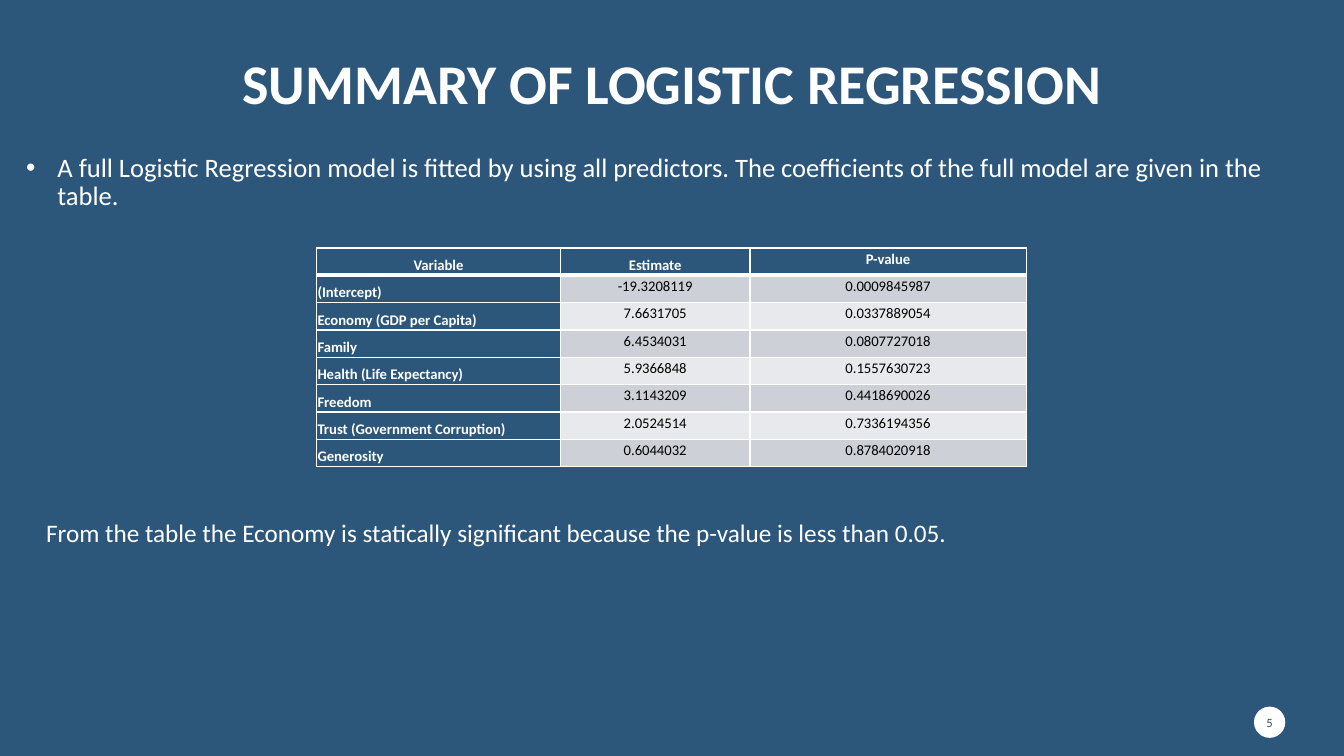
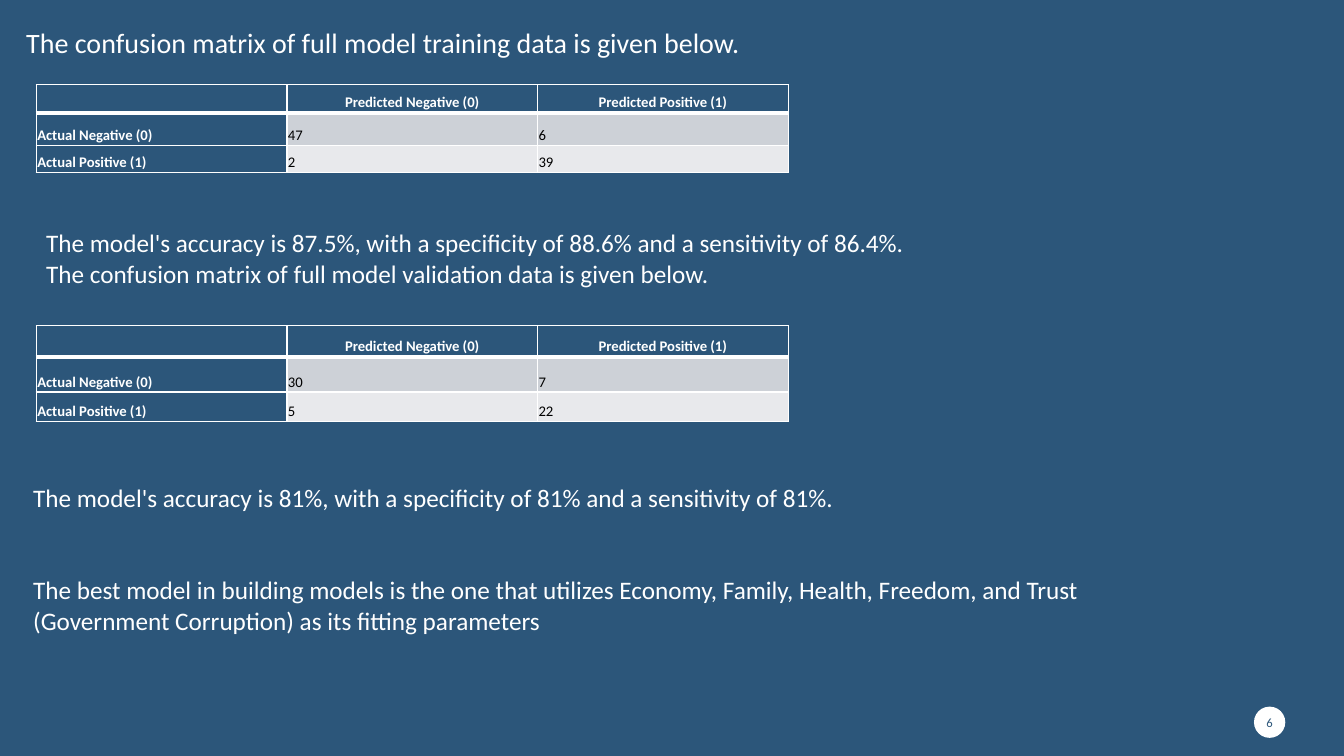
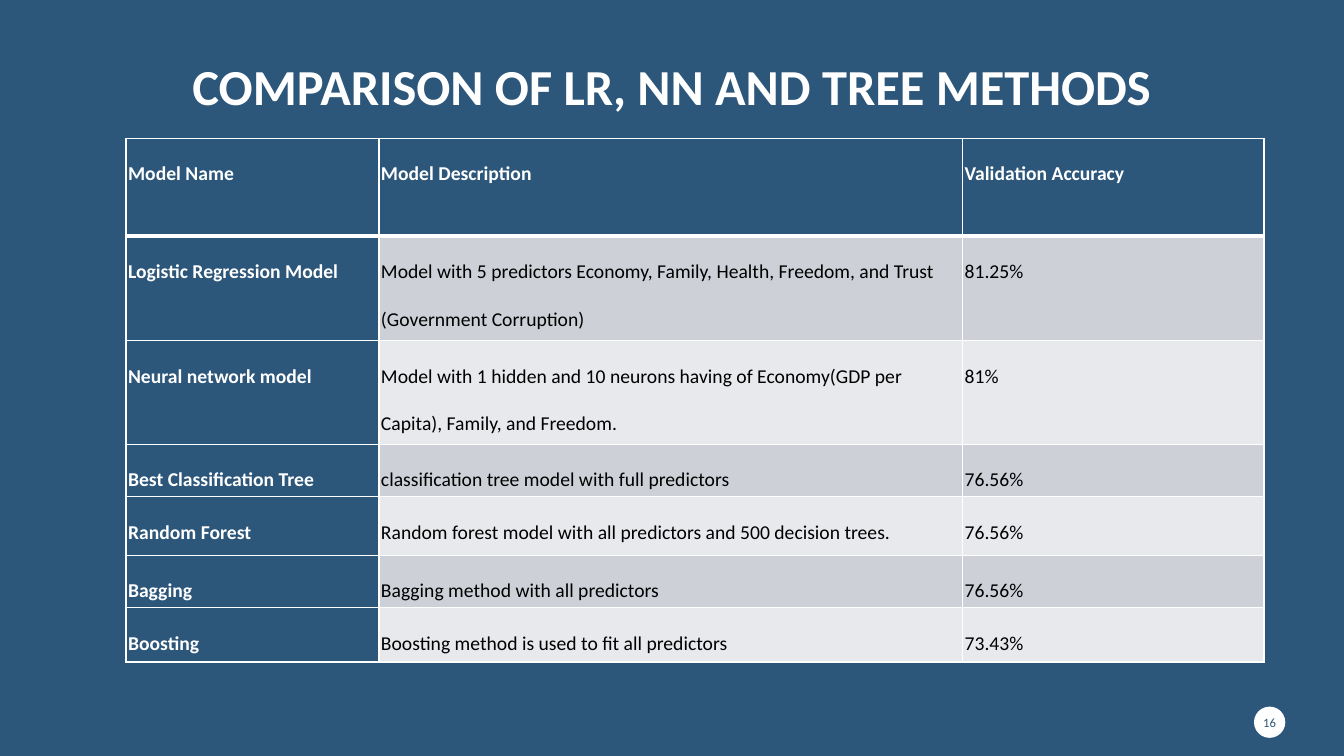
"""Build three slides that report regression results and compare models."""
import dataclasses
import typing

import lxml.etree
import pptx
import pptx.dml.color
import pptx.enum.shapes
import pptx.enum.text
import pptx.oxml.ns
import pptx.presentation
import pptx.slide
import pptx.table
import pptx.text.text
import pptx.util

ALIGN = pptx.enum.text.PP_ALIGN
ANCHOR = pptx.enum.text.MSO_ANCHOR
FONT = "Calibri"
COLORS = {
    "blue": "2C567A",
    "white": "FFFFFF",
    "black": "000000",
    "band_dark": "CDD1D7",
    "band_light": "E8E9EC",
}
WIDTH = pptx.util.Inches(13.33)
HEIGHT = pptx.util.Inches(7.5)
TITLE_AND_CONTENT, TITLE_ONLY = 1, 5


@dataclasses.dataclass(frozen=True)
class Area:
    """A place in percent of the slide's width and height."""

    left: float
    top: float
    width: float
    height: float

    def lengths(self) -> tuple[int, int, int, int]:
        return across(self.left), down(self.top), across(self.width), down(self.height)


@dataclasses.dataclass(frozen=True)
class Style:
    """The look of one paragraph."""

    size: float
    color: str = "white"
    bold: bool = False
    align: ALIGN = ALIGN.LEFT
    line_spacing: float = 1.0
    before: float = 0
    after: float = 0


@dataclasses.dataclass(frozen=True)
class Grid:
    """A table with its sizes in percent of the slide."""

    left: float
    top: float
    columns: list[float]
    rows: list[float]
    cells: list[list[str]]
    size: float = 10.5
    line_spacing: float = 1.07
    margins: tuple[float, float] = (0.01, 0.01)
    header_align: ALIGN = ALIGN.CENTER
    value_align: ALIGN = ALIGN.LEFT
    label_anchor: ANCHOR = ANCHOR.BOTTOM
    value_anchor: ANCHOR = ANCHOR.BOTTOM
    last_header_anchor: ANCHOR = ANCHOR.BOTTOM


TITLE_AREA = Area(9.38, 6.53, 81.25, 9.6)
BADGE_AREA = Area(93.3, 93.47, 2.33, 4.13)

COEFFICIENTS = Grid(
    23.55, 32.8, [18.15, 14.1, 20.55], [3.62] * 8,
    [
        ["Variable", "Estimate", "P-value"],
        ["(Intercept)", "-19.3208119", "0.0009845987"],
        ["Economy (GDP per Capita)", "7.6631705", "0.0337889054"],
        ["Family", "6.4534031", "0.0807727018"],
        ["Health (Life Expectancy)", "5.9366848", "0.1557630723"],
        ["Freedom", "3.1143209", "0.4418690026"],
        ["Trust (Government Corruption)", "2.0524514", "0.7336194356"],
        ["Generosity", "0.6044032", "0.8784020918"],
    ],
    value_align=ALIGN.CENTER, value_anchor=ANCHOR.TOP, last_header_anchor=ANCHOR.TOP,
)
MODELS = Grid(
    9.38, 18.27, [18.82, 43.43, 22.42], [12.93, 13.87, 13.73, 6.93, 7.73, 6.93, 7.2],
    [
        ["Model Name", "Model Description", "Validation Accuracy"],
        ["Logistic Regression Model",
         "Model with 5 predictors Economy, Family, Health, Freedom, and Trust (Government Corruption)",
         "81.25%"],
        ["Neural network model",
         "Model with 1 hidden and 10 neurons having of Economy(GDP per Capita), Family, and Freedom.",
         "81%"],
        ["Best Classification Tree", "classification tree model with full predictors", "76.56%"],
        ["Random Forest", "Random forest model with all predictors and 500 decision trees.", "76.56%"],
        ["Bagging", "Bagging method with all predictors", "76.56%"],
        ["Boosting", "Boosting method is used to fit all predictors", "73.43%"],
    ],
    size=14, line_spacing=2.0, margins=(0.02, 0), header_align=ALIGN.LEFT,
    label_anchor=ANCHOR.TOP, value_anchor=ANCHOR.TOP, last_header_anchor=ANCHOR.TOP,
)


def across(percent: float) -> int:
    return round(WIDTH * percent / 100)


def down(percent: float) -> int:
    return round(HEIGHT * percent / 100)


def rgb(name: str) -> pptx.dml.color.RGBColor:
    return pptx.dml.color.RGBColor.from_string(COLORS[name])


def add_element(parent: typing.Any, tag: str, **attributes: str) -> typing.Any:
    return lxml.etree.SubElement(parent, pptx.oxml.ns.qn(tag), **attributes)


def write(para: typing.Any, text: str, style: Style) -> None:
    para.text = text
    para.alignment = style.align
    para.line_spacing = style.line_spacing
    para.space_before = pptx.util.Pt(style.before)
    para.space_after = pptx.util.Pt(style.after)
    para.font.name = FONT
    para.font.size = pptx.util.Pt(style.size)
    para.font.bold = style.bold
    para.font.color.rgb = rgb(style.color)
    if not text:
        add_element(para._p, "a:endParaRPr", sz=str(round(style.size * 100)))


def add_page(deck: pptx.presentation.Presentation, layout: int, number: int) -> pptx.slide.Slide:
    page = deck.slides.add_slide(deck.slide_layouts[layout])
    badge = page.shapes.add_shape(pptx.enum.shapes.MSO_SHAPE.OVAL, *BADGE_AREA.lengths())
    badge.shadow.inherit = False
    badge.fill.solid()
    badge.fill.fore_color.rgb = rgb("white")
    badge.line.fill.background()
    frame = badge.text_frame
    frame.margin_left = frame.margin_right = frame.margin_top = frame.margin_bottom = 0
    frame.vertical_anchor = ANCHOR.MIDDLE
    frame.word_wrap = False
    write(frame.paragraphs[0], str(number), Style(9, "blue", align=ALIGN.CENTER))
    return page


def place(box: typing.Any, area: Area, anchor: ANCHOR) -> typing.Any:
    box.left, box.top, box.width, box.height = area.lengths()
    frame = box.text_frame
    frame.auto_size = pptx.enum.text.MSO_AUTO_SIZE.NONE
    frame.word_wrap = True
    frame.vertical_anchor = anchor
    return frame.paragraphs[0]


def set_title(page: pptx.slide.Slide, text: str, size: float) -> None:
    para = place(page.shapes.title, TITLE_AREA, ANCHOR.BOTTOM)
    write(para, text, Style(size, bold=True, align=ALIGN.CENTER, line_spacing=0.9))


def set_body(page: pptx.slide.Slide, text: str, top: float, size: float, bullet: bool) -> None:
    para = place(page.placeholders[1], Area(1.2, top, 97.6, 9.6), ANCHOR.TOP)
    indent = pptx.util.Inches(0.31) if bullet else 0
    properties = para._p.get_or_add_pPr()
    properties.set("marL", str(indent))
    properties.set("indent", str(-indent))
    if bullet:
        add_element(properties, "a:buFont", typeface="Arial")
        add_element(properties, "a:buChar", char="•")
    else:
        add_element(properties, "a:buNone")
    write(para, text, Style(size, line_spacing=0.9, before=10))


def add_note(page: pptx.slide.Slide, area: Area, lines: list[str], gap: float = 0) -> None:
    box = page.shapes.add_textbox(*area.lengths())
    frame = box.text_frame
    frame.word_wrap = True
    for index, line in enumerate(lines):
        para = frame.add_paragraph() if index else frame.paragraphs[0]
        write(para, line, Style(18, before=gap if index else 0))


def set_borders(cell: pptx.table._Cell, row: int) -> None:
    heavy = {0: "a:lnB", 1: "a:lnT"}.get(row)
    properties = cell._tc.get_or_add_tcPr()
    for side in ("a:lnL", "a:lnR", "a:lnT", "a:lnB"):
        points = 3 if side == heavy else 1
        line = add_element(properties, side, w=str(pptx.util.Pt(points)))
        add_element(add_element(line, "a:solidFill"), "a:srgbClr", val=COLORS["white"])


def fill_cell(cell: pptx.table._Cell, grid: Grid, row: int, column: int) -> None:
    header, label = row == 0, column == 0
    strong = header or label
    set_borders(cell, row)
    cell.fill.solid()
    band = "band_dark" if row % 2 else "band_light"
    cell.fill.fore_color.rgb = rgb("blue" if strong else band)
    cell.margin_left = cell.margin_right = pptx.util.Inches(grid.margins[0])
    cell.margin_top = cell.margin_bottom = pptx.util.Inches(grid.margins[1])
    cell.vertical_anchor = grid.label_anchor if strong else grid.value_anchor
    if header and column == len(grid.columns) - 1:
        cell.vertical_anchor = grid.last_header_anchor
    align = grid.header_align if header else ALIGN.LEFT if label else grid.value_align
    style = Style(grid.size, "white" if strong else "black", strong, align, grid.line_spacing, after=8)
    write(cell.text_frame.paragraphs[0], grid.cells[row][column], style)


def add_grid(page: pptx.slide.Slide, grid: Grid) -> None:
    area = Area(grid.left, grid.top, sum(grid.columns), sum(grid.rows))
    table = page.shapes.add_table(len(grid.rows), len(grid.columns), *area.lengths()).table
    table.first_row = table.horz_banding = False
    for column, width in enumerate(grid.columns):
        table.columns[column].width = across(width)
    for row, height in enumerate(grid.rows):
        table.rows[row].height = down(height)
        for column in range(len(grid.columns)):
            fill_cell(table.cell(row, column), grid, row, column)


def confusion_matrix(top: float, rows: list[float], negative: list[str], positive: list[str]) -> Grid:
    cells = [
        ["", "Predicted Negative (0)", "Predicted Positive (1)"],
        ["Actual Negative (0)", *negative],
        ["Actual Positive (1)", *positive],
    ]
    return Grid(2.7, top, [18.65] * 3, rows, cells)


def add_regression_page(deck: pptx.presentation.Presentation) -> None:
    page = add_page(deck, TITLE_AND_CONTENT, 5)
    set_title(page, "SUMMARY OF LOGISTIC REGRESSION", 40)
    set_body(
        page,
        "A full Logistic Regression model is fitted by using all predictors. "
        "The coefficients of the full model are given in the table.",
        19.73, 19, bullet=True,
    )
    add_grid(page, COEFFICIENTS)
    add_note(page, Area(2.7, 67.73, 88.73, 9.47), [
        "From the table the Economy is statically significant because the p-value is less than 0.05.",
    ])


def add_confusion_page(deck: pptx.presentation.Presentation) -> None:
    page = add_page(deck, TITLE_AND_CONTENT, 6)
    title = page.shapes.title.element
    title.getparent().remove(title)
    set_body(page, "The confusion matrix of full model training data is given below.", 3.2, 20, bullet=False)
    add_grid(page, confusion_matrix(11.2, [3.73, 4.27, 3.6], ["47", "6"], ["2", "39"]))
    add_note(page, Area(2.7, 29.47, 88.73, 9.47), [
        "The model's accuracy is 87.5%, with a specificity of 88.6% and a sensitivity of 86.4%.",
        "The confusion matrix of full model validation data is given below.",
    ])
    add_grid(page, confusion_matrix(43.07, [4.13, 4.67, 3.87], ["30", "7"], ["5", "22"]))
    add_note(page, Area(1.73, 63.2, 88.73, 21.6), [
        "The model's accuracy is 81%, with a specificity of 81% and a sensitivity of 81%.",
        "The best model in building models is the one that utilizes Economy, Family, Health, "
        "Freedom, and Trust (Government Corruption) as its fitting parameters",
    ], gap=44)


def add_comparison_page(deck: pptx.presentation.Presentation) -> None:
    page = add_page(deck, TITLE_ONLY, 16)
    set_title(page, "COMPARISON OF LR, NN AND TREE METHODS", 36)
    add_grid(page, MODELS)


def main() -> None:
    deck = pptx.Presentation()
    deck.slide_width, deck.slide_height = WIDTH, HEIGHT
    backdrop = deck.slide_master.background.fill
    backdrop.solid()
    backdrop.fore_color.rgb = rgb("blue")
    add_regression_page(deck)
    add_confusion_page(deck)
    add_comparison_page(deck)
    deck.save("out.pptx")


if __name__ == "__main__":
    main()
